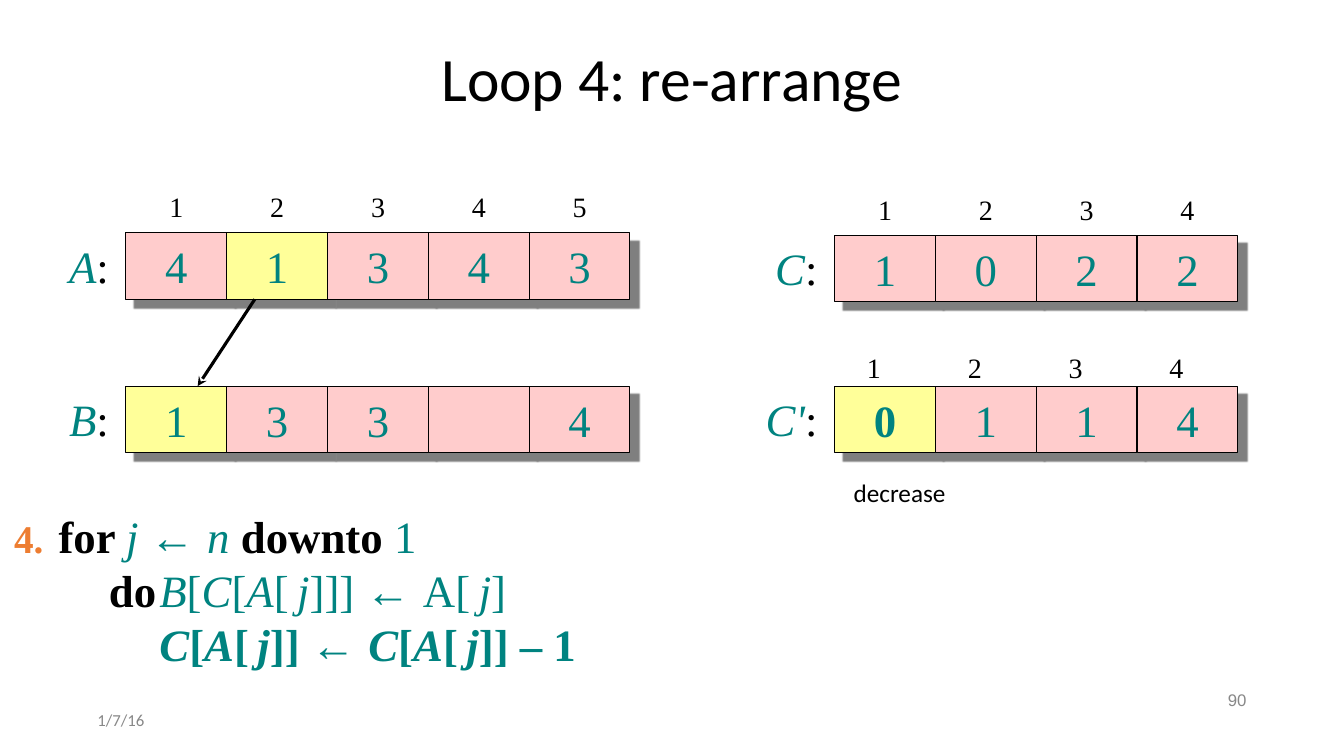
from lxml import etree
from pptx import Presentation
from pptx.dml.color import RGBColor
from pptx.enum import shapes, text
from pptx.oxml import ns
from pptx.util import Pt

COLORS = {"black": "000000", "teal": "008380", "pink": "FFCCCC", "yellow": "FFFF99",
          "orange": "ED7D31", "gray": "888888", "shadow": "808080"}
SERIF = "Times New Roman"
CELL_WIDTH, CELL_HEIGHT = 72, 47.5
LEFT, CENTER, RIGHT = text.PP_ALIGN.LEFT, text.PP_ALIGN.CENTER, text.PP_ALIGN.RIGHT
TOP, MIDDLE = text.MSO_ANCHOR.TOP, text.MSO_ANCHOR.MIDDLE

ARRAYS = [
    {"name": "A", "box": (90, 166.3), "name_width": 36.7, "values": "41343",
     "highlight": 1, "index_offset": (0, -34.6)},
    {"name": "B", "box": (90, 275.8), "name_width": 36.7, "values": "133 4",
     "highlight": 0, "index_offset": None},
    {"name": "C", "box": (596.2, 168), "name_width": 38.2, "values": "1022",
     "highlight": None, "index_offset": (0, -34.2)},
    {"name": "C'", "box": (596.2, 275.8), "name_width": 45.4, "values": "0114",
     "highlight": 0, "index_offset": (-7.9, -28.8), "bold": 0},
]

CODE = [
    [("for ", "kb"), ("j ", "i"), ("← ", "a"), ("n ", "i"), ("downto ", "kb"), ("1", "")],
    [("do\t", "kb"), ("B", "i"), ("[", ""), ("C", "i"), ("[", ""), ("A", "i"), ("[", ""),
     (" ", "s"), ("j", "i"), ("]]] ", ""), ("← ", "a"), ("A[", ""), (" ", "s"),
     ("j", "i"), ("]", "")],
    [("\t", "k"), ("C", "bi"), ("[", "b"), ("A", "bi"), ("[", "b"), (" ", "bs"),
     ("j", "bi"), ("]] ", "b"), ("← ", "a"), ("C", "bi"), ("[", "b"), ("A", "bi"),
     ("[", "b"), (" ", "bs"), ("j", "bi"), ("]] – 1", "b")],
]


def rgb(name):
    return RGBColor.from_string(COLORS[name])


def add_xml(parent, tag, **attributes):
    return etree.SubElement(parent, ns.qn(tag), attributes)


def set_font(font, size, color, name=SERIF, bold=False, italic=False):
    font.size, font.name, font.bold, font.italic = Pt(size), name, bold, italic
    font.color.rgb = rgb(color)


def set_frame(frame, anchor=TOP, wrap=True):
    frame.margin_left = frame.margin_right = Pt(3.6)
    frame.margin_top = frame.margin_bottom = Pt(3.6)
    frame.vertical_anchor = anchor
    frame.word_wrap = wrap
    frame.auto_size = text.MSO_AUTO_SIZE.NONE


def add_box(slide, box, anchor=TOP, wrap=True):
    frame = slide.shapes.add_textbox(*map(Pt, box)).text_frame
    set_frame(frame, anchor, wrap)
    return frame


def add_label(slide, box, words, size, color, align=LEFT, anchor=TOP, wrap=True, **style):
    paragraph = add_box(slide, box, anchor, wrap).paragraphs[0]
    paragraph.text = words
    paragraph.alignment = align
    set_font(paragraph.font, size, color, **style)


def add_title(slide, box, words):
    title = slide.shapes.title
    title.left, title.top, title.width, title.height = map(Pt, box)
    set_frame(title.text_frame, MIDDLE)
    paragraph = title.text_frame.paragraphs[0]
    paragraph.text = words
    paragraph.alignment = CENTER
    paragraph.line_spacing = 0.9
    set_font(paragraph.font, 44, "black", "Calibri")


def add_cell(slide, left, top, value, fill, bold):
    cell = slide.shapes.add_shape(shapes.MSO_SHAPE.RECTANGLE, Pt(left), Pt(top),
                                  Pt(CELL_WIDTH), Pt(CELL_HEIGHT))
    cell.fill.solid()
    cell.fill.fore_color.rgb = rgb(fill)
    cell.line.color.rgb = rgb("black")
    cell.line.width = Pt(0.75)
    cell.shadow.inherit = False
    effects = cell.element.spPr.find(ns.qn("a:effectLst"))
    shadow = add_xml(effects, "a:outerShdw", blurRad=str(Pt(1)), dist=str(Pt(8.5)),
                     dir="2700000", algn="ctr", rotWithShape="0")
    add_xml(shadow, "a:srgbClr", val=COLORS["shadow"])
    set_frame(cell.text_frame, MIDDLE)
    if value.strip():
        paragraph = cell.text_frame.paragraphs[0]
        paragraph.text = value
        paragraph.alignment = CENTER
        set_font(paragraph.font, 32, "teal", bold=bold)


def add_array(slide, box, array):
    left, top = box
    width = array["name_width"]
    frame = add_box(slide, (left - 8.6 - width, top + 0.7, width, 43.2), wrap=False)
    paragraph = frame.paragraphs[0]
    paragraph.alignment = RIGHT
    for words, color, italic in ((array["name"], "teal", True), (":", "black", False)):
        run = paragraph.add_run()
        run.text = words
        set_font(run.font, 32, color, italic=italic)
    for position, value in enumerate(array["values"]):
        cell_left = left + position * CELL_WIDTH
        fill = "yellow" if position == array["highlight"] else "pink"
        add_cell(slide, cell_left, top, value, fill, position == array.get("bold"))
        if array["index_offset"]:
            shift, rise = array["index_offset"]
            index_box = (cell_left + 27 + shift, top + rise, 18, 29.5)
            add_label(slide, index_box, str(position + 1), 20, "black", CENTER, wrap=False)


def add_move_arrow(slide, start, end):
    arrow = slide.shapes.add_connector(shapes.MSO_CONNECTOR.STRAIGHT, *map(Pt, start + end))
    arrow.line.color.rgb = rgb("black")
    arrow.line.width = Pt(2.25)
    add_xml(arrow.line._get_or_add_ln(), "a:tailEnd", type="stealth")
    add_xml(arrow._element.spPr, "a:effectLst")


def add_code(slide, box):
    left, top, width, height = box
    frame = add_box(slide, box)
    for number, line in enumerate(CODE):
        paragraph = frame.add_paragraph() if number else frame.paragraphs[0]
        properties = paragraph._p.get_or_add_pPr()
        properties.set("marL", "0")
        properties.set("indent", str(Pt(36 if number else 0)))
        tabs = add_xml(properties, "a:tabLst")
        for stop in (76.3, 395.3):
            add_xml(tabs, "a:tab", pos=str(Pt(stop)), algn="l")
        for words, style in line:
            run = paragraph.add_run()
            run.text = words
            set_font(run.font, 24 if "s" in style else 32, "black" if "k" in style else "teal",
                     "Arial" if "a" in style else SERIF, "b" in style, "i" in style)
    add_label(slide, (left - 31.7, top + 3.6, 90, 38.2), "4.", 28, "orange", bold=True)


def add_footer(slide, box):
    left, top, width, height = box
    add_label(slide, (left, top + 14.4, 216, height), "1/7/16", 12, "gray",
              anchor=MIDDLE, name="Calibri")
    add_label(slide, (left + width - 216, top, 216, height), "90", 12, "gray", RIGHT,
              MIDDLE, name="Arial")


def main():
    presentation = Presentation()
    presentation.slide_width, presentation.slide_height = Pt(960), Pt(540)
    slide = presentation.slides.add_slide(presentation.slide_layouts[5])
    add_title(slide, (66, 22.5, 828, 72), "Loop 4: re-arrange")
    for array in ARRAYS:
        add_array(slide, array["box"], array)
    add_move_arrow(slide, (182, 213.8), (141.2, 275.8))
    add_label(slide, (606.2, 337.7, 74.2, 29.5), "decrease", 18, "black", wrap=False,
              name="Calibri")
    add_code(slide, (38.2, 360, 884.2, 124.6))
    add_footer(slide, (66, 489.6, 828, 20.9))
    presentation.save("out.pptx")


if __name__ == "__main__":
    main()
